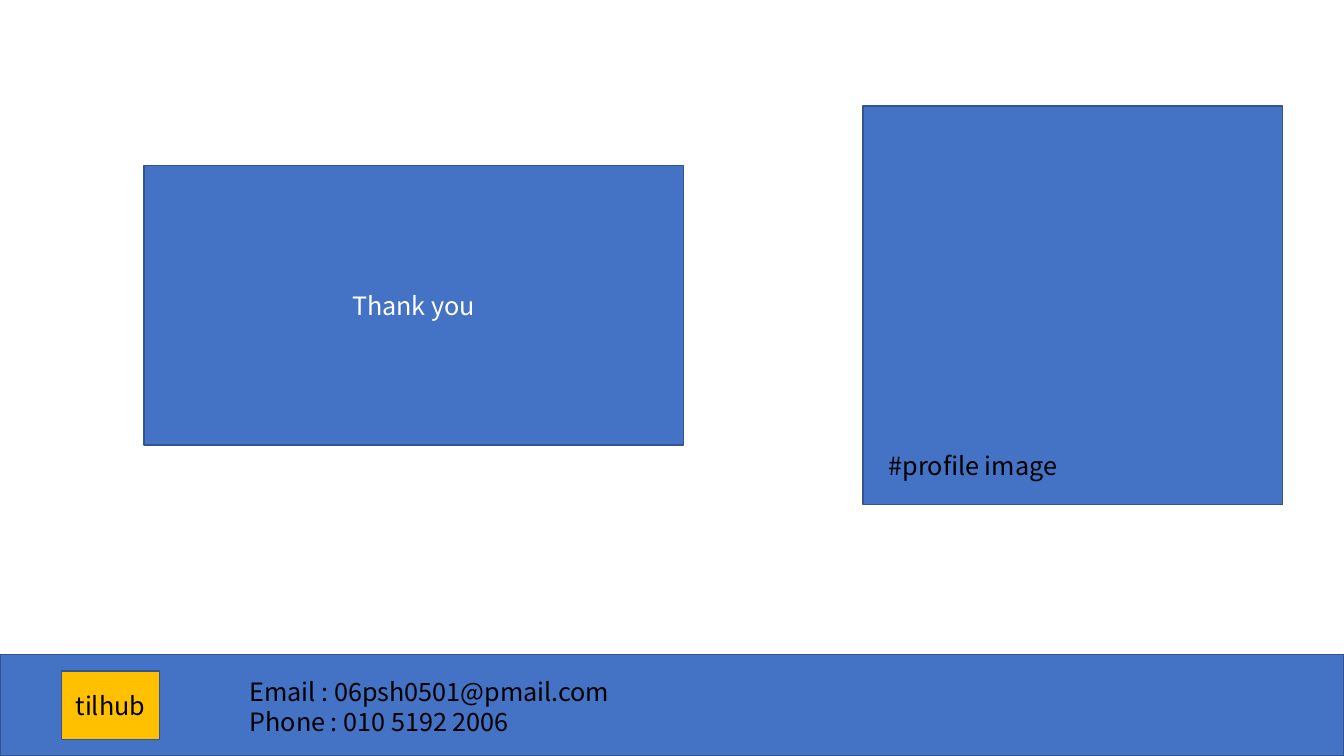
from pptx import Presentation
from pptx.dml.color import RGBColor
from pptx.enum.shapes import MSO_SHAPE
from pptx.enum.text import MSO_ANCHOR, MSO_AUTO_SIZE, PP_ALIGN
from pptx.util import Cm, Pt

RECTANGLE = MSO_SHAPE.RECTANGLE
MIDDLE = MSO_ANCHOR.MIDDLE
GROW = MSO_AUTO_SIZE.SHAPE_TO_FIT_TEXT
CENTER = PP_ALIGN.CENTER
LEFT = PP_ALIGN.LEFT

BLUE = RGBColor(0x44, 0x72, 0xC4)
OUTLINE = RGBColor(0x32, 0x54, 0x91)
YELLOW = RGBColor(0xFF, 0xC0, 0x00)
BLACK = RGBColor(0x00, 0x00, 0x00)
WHITE = RGBColor(0xFF, 0xFF, 0xFF)
FONT = "Noto Sans CJK KR"


def write_lines(box, lines, color, align):
    frame = box.text_frame
    frame.word_wrap = True
    for index, line in enumerate(lines):
        para = frame.paragraphs[0] if index == 0 else frame.add_paragraph()
        para.alignment = align
        span = para.add_run()
        span.text = line
        span.font.name = FONT
        span.font.size = Pt(18)
        span.font.color.rgb = color


deck = Presentation()
deck.slide_width = Cm(33.87)
deck.slide_height = Cm(19.05)
page = deck.slides.add_slide(deck.slide_layouts[6])

panels = [
    ((0, 16.5, 33.87, 2.55), BLUE, [], BLACK),
    ((1.55, 16.91, 2.47, 1.73), YELLOW, ["tilhub"], BLACK),
    ((3.63, 4.17, 13.59, 7.05), BLUE, ["Thank you"], WHITE),
    ((21.75, 2.67, 10.57, 10.04), BLUE, [], BLACK),
]
for place, fill, lines, color in panels:
    panel = page.shapes.add_shape(RECTANGLE, *[Cm(length) for length in place])
    panel.shadow.inherit = False
    panel.fill.solid()
    panel.fill.fore_color.rgb = fill
    panel.line.color.rgb = OUTLINE
    panel.line.width = Pt(1)
    panel.text_frame.vertical_anchor = MIDDLE
    write_lines(panel, lines, color, CENTER)

labels = [
    ((6.04, 16.92, 10.72, 1.8),
     ["Email : 06psh0501@pmail.com", "Phone : 010 5192 2006"]),
    ((22.15, 11.23, 5.44, 1.02), ["#profile image"]),
]
for place, lines in labels:
    label = page.shapes.add_textbox(*[Cm(length) for length in place])
    write_lines(label, lines, BLACK, LEFT)
    label.text_frame.auto_size = GROW

deck.save("out.pptx")
